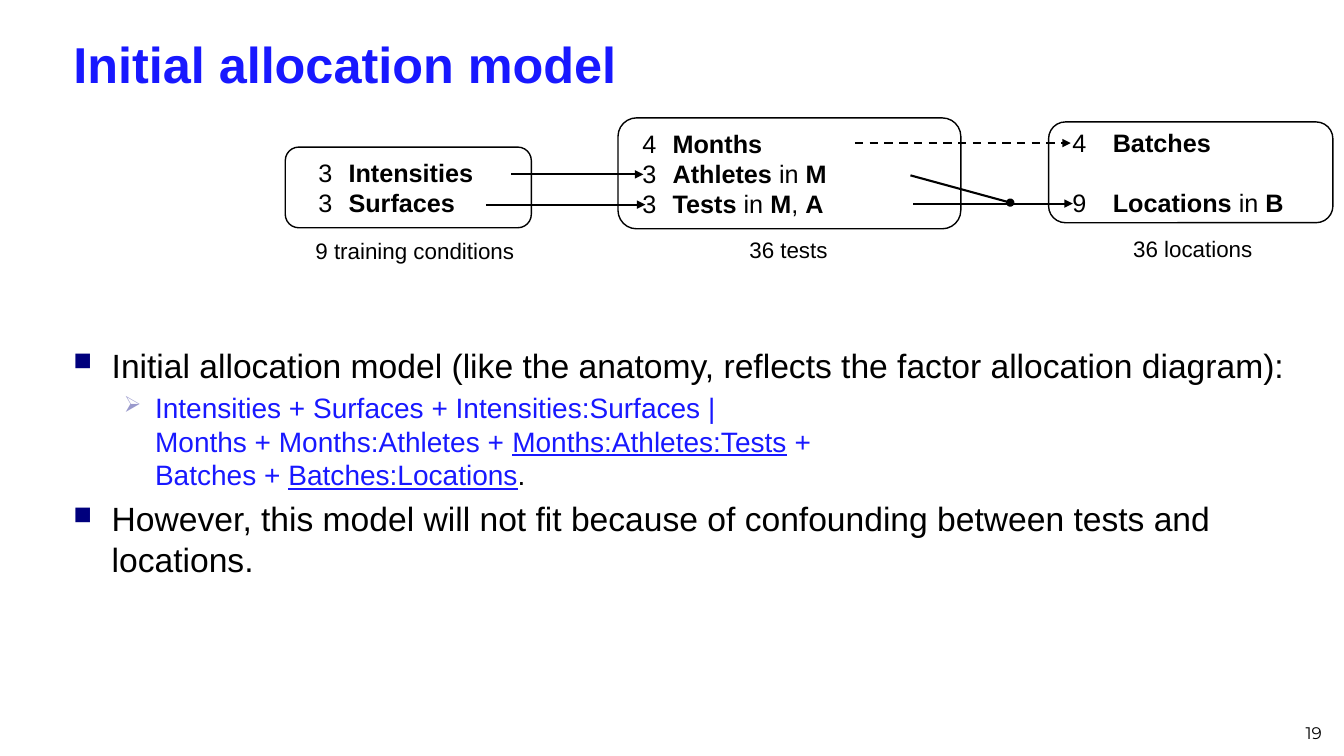
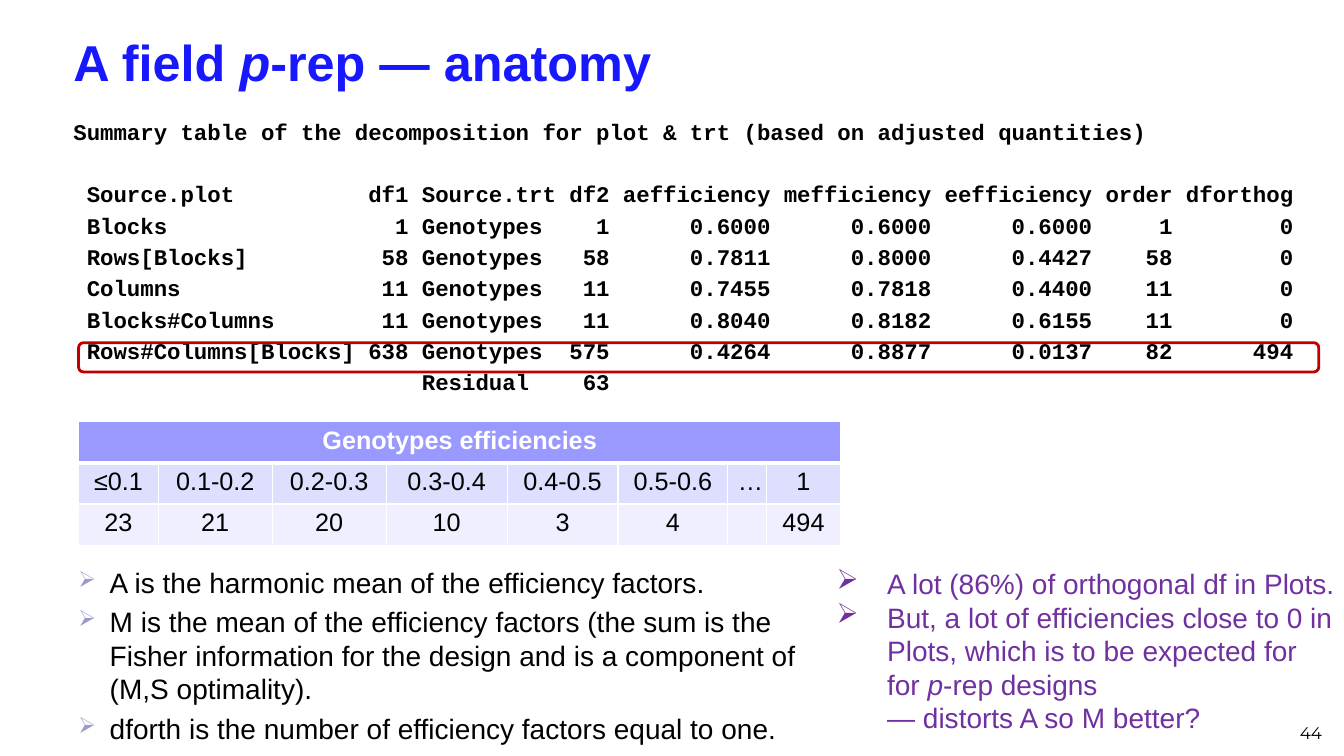
"""Build two slides on allocation models and the anatomy of a p-rep design."""
from dataclasses import dataclass
from typing import NamedTuple, Optional

from lxml import etree
from pptx import Presentation
from pptx import util as u
from pptx.dml import color as colors
from pptx.enum import dml, shapes, text
from pptx.oxml import ns

PX = 9144
BLUE, BLACK, PURPLE, RED, WHITE = "1818FF", "000000", "7030A0", "C00000", "FFFFFF"
NAVY, LILAC = "00007D", "9999CC"
HEADER_FILL, ROW_FILLS = "9999FF", ("DEDEFF", "EFEFFF")
LEFT, CENTER, RIGHT = text.PP_ALIGN.LEFT, text.PP_ALIGN.CENTER, text.PP_ALIGN.RIGHT
TOP, MIDDLE, BOTTOM = text.MSO_ANCHOR.TOP, text.MSO_ANCHOR.MIDDLE, text.MSO_ANCHOR.BOTTOM


class Area(NamedTuple):
    left: int
    top: int
    width: int
    height: int


class Bullet(NamedTuple):
    char: str
    color: Optional[str] = None
    percent: int = 100


class Span(NamedTuple):
    words: str
    bold: bool = False
    italic: bool = False
    underline: bool = False
    color: Optional[str] = None


@dataclass(frozen=True)
class Para:
    spans: tuple[Span, ...]
    size: int
    color: str = BLACK
    font: str = "Arial"
    align: text.PP_ALIGN = LEFT
    before: float = 0
    indent: int = 0
    hang: int = 0
    bullet: Optional[Bullet] = None


class Factors(NamedTuple):
    area: Area
    indent: int
    hang: int
    rows: tuple[tuple[Span, ...], ...]
    gaps: tuple[int, ...]
    caption: str
    caption_area: Area


class Arrow(NamedTuple):
    start: tuple[int, int]
    end: tuple[int, int]
    head: str = "triangle"
    dashed: bool = False


SQUARE = Bullet("■", NAVY, 75)
POINTER = Bullet("➢", LILAC, 80)
PLAIN_POINTER = Bullet("➢")


def px(value: int) -> u.Emu:
    """Turn px into EMU."""
    return u.Emu(value * PX)


def rgb(value: str) -> colors.RGBColor:
    """Turn a hex string into a colour."""
    return colors.RGBColor.from_string(value)


def add_child(parent, tag: str, **attributes: str):
    """Append a DrawingML element."""
    return etree.SubElement(parent, ns.qn(tag), attributes)


def add_bullet(para, bullet: Bullet) -> None:
    """Give a paragraph its bullet character."""
    properties = para._p.get_or_add_pPr()
    if bullet.color:
        add_child(add_child(properties, "a:buClr"), "a:srgbClr", val=bullet.color)
    add_child(properties, "a:buSzPct", val=str(bullet.percent * 1000))
    add_child(properties, "a:buChar", char=bullet.char)


def add_span(para, span: Span, style: Para) -> None:
    """Add one run, with line breaks where the words have them."""
    for number, piece in enumerate(span.words.split("\n")):
        if number:
            para.add_line_break()
        if not piece:
            continue
        run = para.add_run()
        run.text = piece
        run.font.name, run.font.size = style.font, u.Pt(style.size)
        run.font.bold, run.font.italic = span.bold, span.italic
        run.font.underline = span.underline
        run.font.color.rgb = rgb(span.color or style.color)


def fill_frame(frame, paras: list[Para], anchor: text.MSO_ANCHOR = TOP) -> None:
    """Write styled paragraphs into a text frame."""
    frame.word_wrap = True
    frame.vertical_anchor = anchor
    for number, style in enumerate(paras):
        para = frame.add_paragraph() if number else frame.paragraphs[0]
        para.alignment = style.align
        para.space_before = u.Pt(style.before if number else 0)
        if style.indent:
            properties = para._p.get_or_add_pPr()
            properties.set("marL", str(px(style.indent)))
            properties.set("indent", str(px(-style.hang)))
        if style.bullet:
            add_bullet(para, style.bullet)
        for span in style.spans:
            add_span(para, span, style)


def add_text(page, area: Area, paras: list[Para], anchor: text.MSO_ANCHOR = TOP) -> None:
    """Add a text box."""
    box = page.shapes.add_textbox(*map(px, area))
    fill_frame(box.text_frame, paras, anchor)


def add_outline(page, area: Area, color: str, width: int):
    """Add an unfilled rounded rectangle."""
    box = page.shapes.add_shape(shapes.MSO_SHAPE.ROUNDED_RECTANGLE, *map(px, area))
    box.shadow.inherit = False
    box.fill.background()
    box.line.color.rgb, box.line.width = rgb(color), u.Pt(width)
    return box


def add_arrow(page, arrow: Arrow) -> None:
    """Add a straight line with an end mark."""
    line = page.shapes.add_connector(
        shapes.MSO_CONNECTOR.STRAIGHT, *map(px, arrow.start + arrow.end))
    line.line.color.rgb, line.line.width = rgb(BLACK), u.Pt(1.5)
    if arrow.dashed:
        line.line.dash_style = dml.MSO_LINE.DASH
    add_child(line.line._get_or_add_ln(), "a:tailEnd", type=arrow.head)
    add_child(line._element.spPr, "a:effectLst")


def add_factors(page, factors: Factors) -> None:
    """Add a panel of factors with its caption."""
    box = add_outline(page, factors.area, BLACK, 1)
    fill_frame(box.text_frame, [
        Para(row, 18, before=gap, indent=factors.indent, hang=factors.hang)
        for row, gap in zip(factors.rows, factors.gaps)], MIDDLE)
    add_text(page, factors.caption_area,
             [Para((Span(factors.caption),), 16, align=CENTER)])


def add_page(deck, title: tuple[Span, ...], top: int, number: int):
    """Add a slide with its title and page number."""
    page = deck.slides.add_slide(deck.slide_layouts[6])
    add_text(page, Area(63, top, 1260, 79), [Para(title, 36, BLUE)], MIDDLE)
    add_text(page, Area(1010, 692, 311, 50),
             [Para((Span(str(number)),), 12, font="Montserrat", align=RIGHT)], BOTTOM)
    return page


def set_border(cell, side: str, width: float) -> None:
    """Draw one white cell border."""
    line = add_child(cell._tc.get_or_add_tcPr(), f"a:{side}", w=str(u.Pt(width)))
    add_child(add_child(line, "a:solidFill"), "a:srgbClr", val=WHITE)


def fill_cell(cell, words: str, fill: str, header: bool = False, bottom: int = 1) -> None:
    """Write and style one table cell."""
    for side, width in (("lnL", 1), ("lnR", 1), ("lnT", 1), ("lnB", bottom)):
        set_border(cell, side, width)
    cell.fill.solid()
    cell.fill.fore_color.rgb = rgb(fill)
    fill_frame(cell.text_frame, [Para(
        (Span(words, bold=header),), 18, WHITE if header else BLACK, align=CENTER)])


def add_efficiencies(page) -> None:
    """Add the table of genotype efficiencies."""
    widths = (79, 113, 113, 120, 110, 109, 38, 74)
    rows = (("≤0.1", "0.1-0.2", "0.2-0.3", "0.3-0.4", "0.4-0.5", "0.5-0.6", "…", "1"),
            ("23", "21", "20", "10", "3", "4", "", "494"))
    area = Area(78, 418, sum(widths), 123)
    table = page.shapes.add_table(3, len(widths), *map(px, area)).table
    for column, width in zip(table.columns, widths):
        column.width = px(width)
    table.cell(0, 0).merge(table.cell(0, len(widths) - 1))
    for index in range(len(widths)):
        words = "" if index else "Genotypes efficiencies"
        fill_cell(table.cell(0, index), words, HEADER_FILL, True, 3)
    for number, (row, fill) in enumerate(zip(rows, ROW_FILLS), 1):
        for index, words in enumerate(row):
            fill_cell(table.cell(number, index), words, fill)


def factor(count: int, name: str, *within: str) -> tuple[Span, ...]:
    """Give the spans of a factor with its level count and nesting."""
    spans = [Span(f"{count}\t"), Span(name, bold=True)]
    for number, outer in enumerate(within):
        spans += [Span(", " if number else " in "), Span(outer, bold=True)]
    return tuple(spans)


def build_model(deck) -> None:
    """Build the initial allocation model slide."""
    page = add_page(deck, (Span("Initial allocation model", bold=True),), 23, 19)
    panels = (
        Factors(Area(283, 146, 244, 80), 49, 30,
                (factor(3, "Intensities"), factor(3, "Surfaces")), (0, 0),
                "9 training conditions", Area(283, 230, 257, 37)),
        Factors(Area(613, 117, 340, 110), 39, 30,
                (factor(4, "Months"), factor(3, "Athletes", "M"),
                 factor(3, "Tests", "M", "A")), (0, 0, 0),
                "36 tests", Area(653, 229, 258, 37)),
        Factors(Area(1040, 121, 282, 100), 49, 40,
                (factor(4, "Batches"), factor(9, "Locations", "B")), (0, 21),
                "36 locations", Area(1054, 228, 258, 37)))
    arrows = (
        Arrow((507, 173), (638, 173)),
        Arrow((482, 203), (640, 203)),
        Arrow((848, 142), (1062, 142), dashed=True),
        Arrow((906, 202), (1064, 202)),
        Arrow((903, 174), (1002, 201), "oval"))
    for panel in panels:
        add_factors(page, panel)
    for arrow in arrows:
        add_arrow(page, arrow)
    formula = (
        Span("Intensities + Surfaces + Intensities:Surfaces |\nMonths + Months:Athletes + "),
        Span("Months:Athletes:Tests", underline=True),
        Span(" +\nBatches + "),
        Span("Batches:Locations", underline=True),
        Span(".", color=BLACK))
    intro = ("Initial allocation model (like the anatomy, "
             "reflects the factor allocation diagram):")
    problem = ("However, this model will not fit because of "
               "confounding between tests and locations.")
    add_text(page, Area(63, 337, 1260, 387), [
        Para((Span(intro),), 24, indent=38, hang=38, bullet=SQUARE),
        Para(formula, 20, BLUE, before=4, indent=81, hang=31, bullet=POINTER),
        Para((Span(problem),), 24, before=4.8, indent=38, hang=38, bullet=SQUARE)])


def build_anatomy(deck) -> None:
    """Build the p-rep anatomy slide."""
    title = (Span("A field ", bold=True), Span("p", bold=True, italic=True),
             Span("-rep — anatomy", bold=True))
    page = add_page(deck, title, 21, 44)
    listing = (
        "Summary table of the decomposition for plot & trt (based on adjusted quantities)",
        " Source.plot          df1 Source.trt df2 aefficiency mefficiency eefficiency order dforthog",
        " Blocks                 1 Genotypes    1      0.6000      0.6000      0.6000     1        0",
        " Rows[Blocks]          58 Genotypes   58      0.7811      0.8000      0.4427    58        0",
        " Columns               11 Genotypes   11      0.7455      0.7818      0.4400    11        0",
        " Blocks#Columns        11 Genotypes   11      0.8040      0.8182      0.6155    11        0",
        " Rows#Columns[Blocks] 638 Genotypes  575      0.4264      0.8877      0.0137    82      494",
        "                          Residual    63")
    add_text(page, Area(63, 112, 1260, 301), [
        Para((Span(line, bold=True),), 16, font="Courier New",
             before=25.5 if number == 1 else 3.2)
        for number, line in enumerate(listing)])
    notes = (
        "A is the harmonic mean of the efficiency factors.",
        "M is the mean of the efficiency factors (the sum is the Fisher information "
        "for the design and is a component of (M,S optimality).",
        "dforth is the number of efficiency factors equal to one.")
    add_text(page, Area(18, 556, 828, 194), [
        Para((Span(note),), 20, before=4, indent=81, hang=31, bullet=POINTER)
        for note in notes])
    add_outline(page, Area(78, 340, 1230, 29), RED, 2)
    remarks = (
        (Span("A lot (86%) of orthogonal df in Plots."),),
        (Span("But, a lot of efficiencies close to 0 in Plots, "
              "which is to be expected for for "),
         Span("p", italic=True), Span("-rep designs\n— distorts A so M better?")))
    add_text(page, Area(820, 557, 515, 178), [
        Para(remark, 20, PURPLE, indent=50, hang=50, bullet=PLAIN_POINTER)
        for remark in remarks])
    add_efficiencies(page)


def main() -> None:
    """Build and save the deck."""
    deck = Presentation()
    deck.slide_width, deck.slide_height = px(1333), px(750)
    build_model(deck)
    build_anatomy(deck)
    deck.save("out.pptx")


if __name__ == "__main__":
    main()
